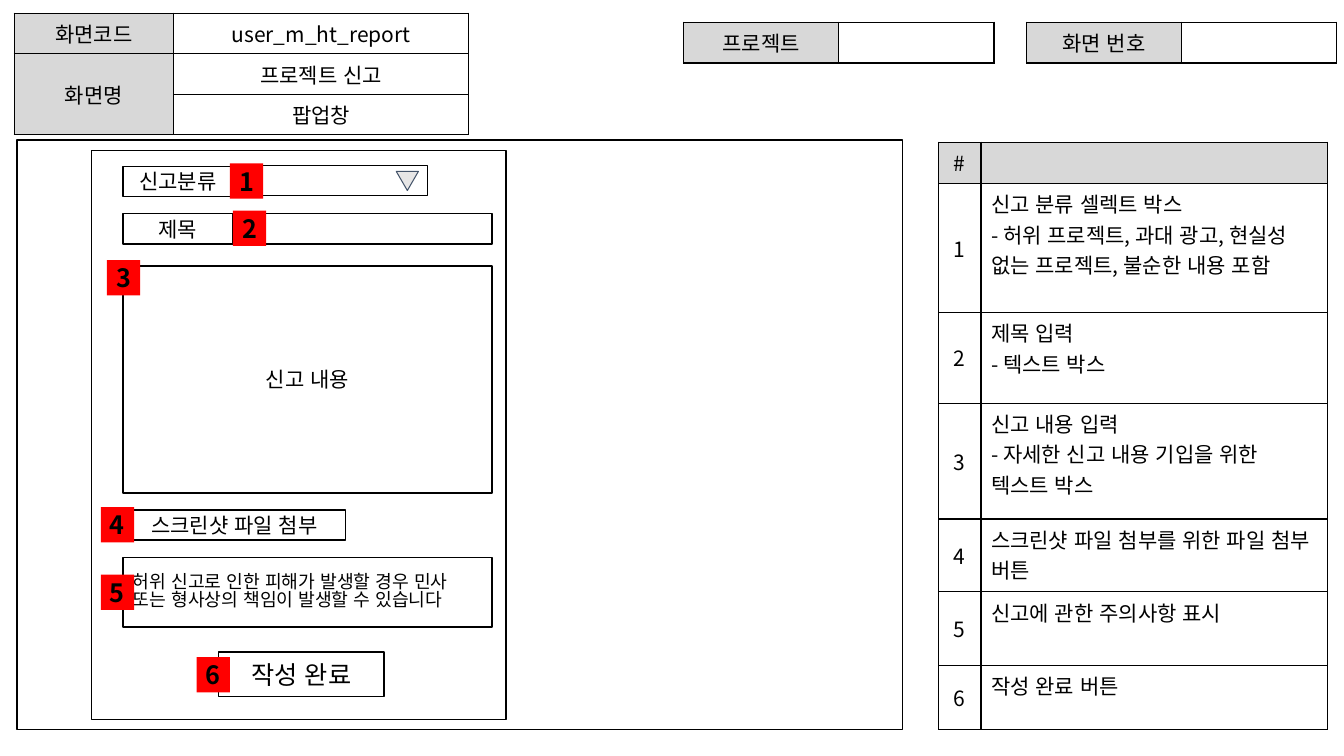
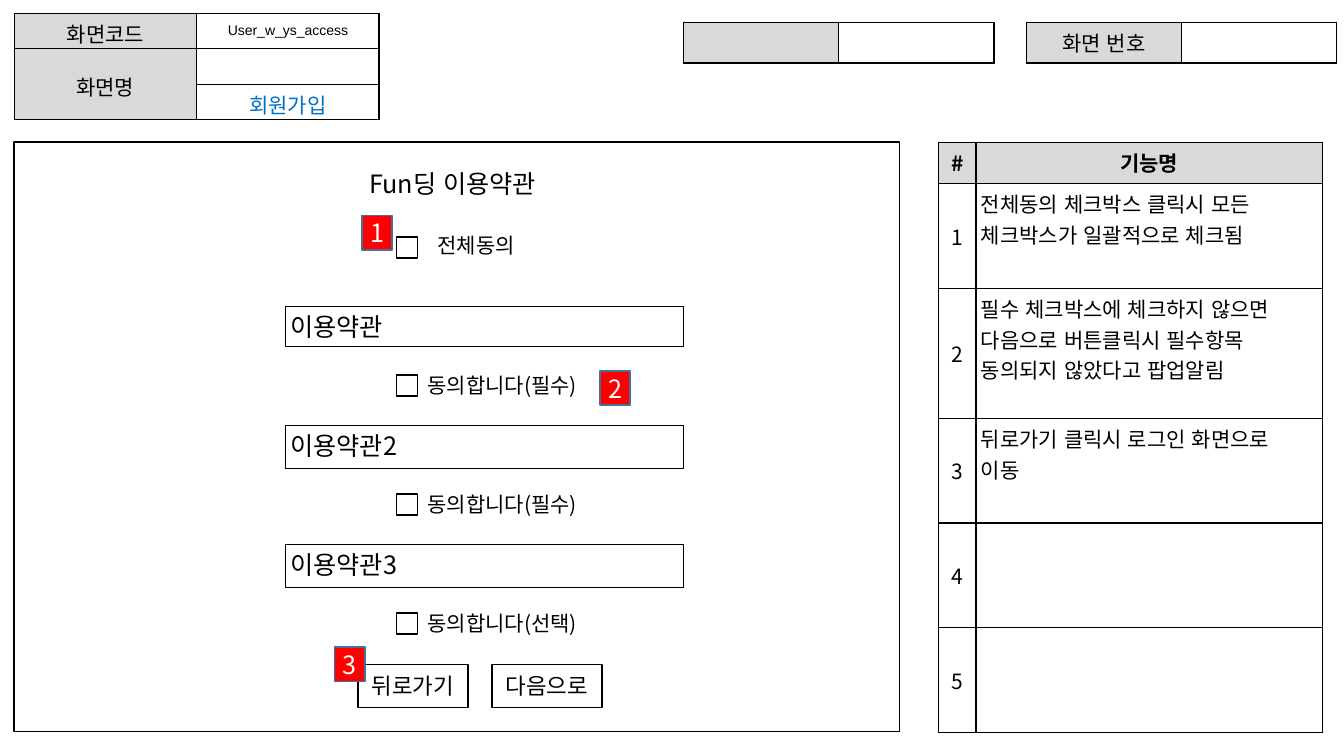
from lxml import etree
from pptx import Presentation
from pptx.dml.color import RGBColor
from pptx.enum.lang import MSO_LANGUAGE_ID
from pptx.enum.shapes import MSO_SHAPE
from pptx.enum.text import MSO_ANCHOR, PP_ALIGN
from pptx.oxml.ns import qn
from pptx.util import Inches, Pt

RECT, TRIANGLE = MSO_SHAPE.RECTANGLE, MSO_SHAPE.ISOSCELES_TRIANGLE
LEFT, CENTER = PP_ALIGN.LEFT, PP_ALIGN.CENTER
TOP, MIDDLE = MSO_ANCHOR.TOP, MSO_ANCHOR.MIDDLE
KOREAN = MSO_LANGUAGE_ID.KOREAN

FONT = "Noto Sans CJK KR"
BLACK, WHITE, RED, BLUE = "000000", "FFFFFF", "FF0000", "0070C0"
TAG_LINE = "42719B"
CODE_ROWS = [("화면코드", 0), ("화면명", 1)]


def rgb(code):
    return RGBColor.from_string(code)


def paint(fill, code):
    if code:
        fill.solid()
        fill.fore_color.rgb = rgb(code)
    else:
        fill.background()


def put(frame, text, size=15, font=FONT, color=BLACK, bold=False,
        align=CENTER, space=None):
    """Write one paragraph for each line of text."""
    frame.word_wrap = True
    for i, line in enumerate(text.split("\n")):
        para = frame.add_paragraph() if i else frame.paragraphs[0]
        para.alignment = align
        if space:
            para.line_spacing = space
        run = para.add_run()
        run.text = line
        run.font.size = Pt(size)
        run.font.name = font
        run.font.bold = bold
        run.font.color.rgb = rgb(color)
        run.font.language_id = KOREAN
        east = etree.SubElement(run.font._element, qn("a:ea"))
        east.set("typeface", font)


def inset(owner, pads):
    """Set the left, top, right and bottom margins in inches."""
    for side, pad in zip(("left", "top", "right", "bottom"), pads):
        setattr(owner, "margin_" + side, Inches(pad))


def edge(cell):
    """Draw a thin black border on all four sides of a cell."""
    props = cell._tc.get_or_add_tcPr()
    for i, side in enumerate("LRTB"):
        line = etree.Element(qn("a:ln" + side), w=str(Pt(1)))
        fill = etree.SubElement(line, qn("a:solidFill"))
        etree.SubElement(fill, qn("a:srgbClr"), val=BLACK)
        props.insert(i, line)


class Deck:
    """Holds the style and the current slide."""

    def __init__(self):
        self.prs = Presentation()
        self.prs.slide_width = Inches(13.33)
        self.prs.slide_height = Inches(7.5)

    def page(self, shade, pads):
        """Start a slide with its header grey and its text margins."""
        self.shapes = self.prs.slides.add_slide(
            self.prs.slide_layouts[6]).shapes
        self.shade, self.pads = shade, pads

    def box(self, x, y, w, h, text="", fill=WHITE, line=BLACK, weight=1,
            kind=RECT, anchor=MIDDLE, pads=None, **style):
        shape = self.shapes.add_shape(
            kind, Inches(x), Inches(y), Inches(w), Inches(h))
        shape.shadow.inherit = False
        paint(shape.fill, fill)
        paint(shape.line.fill, line)
        if line:
            shape.line.width = Pt(weight)
        if text:
            frame = shape.text_frame
            frame.vertical_anchor = anchor
            inset(frame, pads or self.pads)
            put(frame, text, **style)
        return shape

    def label(self, x, y, w, h, text, **style):
        frame = self.shapes.add_textbox(
            Inches(x), Inches(y), Inches(w), Inches(h)).text_frame
        inset(frame, self.pads)
        put(frame, text, align=LEFT, **style)

    def tag(self, x, y, num, w=0.33, h=0.35, line=None, **style):
        """Place a red number marker."""
        self.box(x, y, w, h, str(num), RED, line, pads=(0, 0, 0, 0),
                 size=18, **style)

    def cell(self, cell, text, fill, anchor=MIDDLE, pads=None, **style):
        paint(cell.fill, fill)
        edge(cell)
        cell.vertical_anchor = anchor
        inset(cell, pads or self.pads)
        if text:
            put(cell.text_frame, text, **style)

    def grid(self, x, y, cols, rows):
        table = self.shapes.add_table(
            len(rows), len(cols), Inches(x), Inches(y),
            Inches(sum(cols)), Inches(sum(rows))).table
        table.first_row = table.horz_banding = False
        for col, width in zip(table.columns, cols):
            col.width = Inches(width)
        for row, height in zip(table.rows, rows):
            row.height = Inches(height)
        return table

    def code(self, cols, high, values, pads=None):
        """Draw the screen code table; values are (text, format) pairs."""
        table = self.grid(0.14, 0.13, cols, [high] * 3)
        for i, (text, style) in enumerate(values):
            name = ("화면코드", "화면명", "")[i]
            self.cell(table.cell(i, 0), name, self.shade, pads=pads)
            self.cell(table.cell(i, 1), text, WHITE,
                      **{"pads": pads, **style})
        table.cell(1, 0).merge(table.cell(2, 0))

    def field(self, x, text):
        """Draw a name cell beside an empty value cell."""
        table = self.grid(x, 0.22, [1.54] * 2, [0.4])
        self.cell(table.cell(0, 0), text, self.shade)
        self.cell(table.cell(0, 1), "", WHITE)

    def notes(self, cols, head, items, bold=False):
        """Draw the numbered list; items are (height, text) pairs."""
        highs = [0.41] + [high for high, _ in items]
        table = self.grid(9.31, 1.41, cols, highs)
        for j, text in enumerate(("#", head)):
            self.cell(table.cell(0, j), text, self.shade, bold=bold)
        for i, (_, text) in enumerate(items, 1):
            self.cell(table.cell(i, 0), str(i), WHITE)
            self.cell(table.cell(i, 1), text, WHITE, TOP, align=LEFT)


def report(deck):
    deck.page("D8D8D8", (0.1, 0.05, 0.1, 0.05))
    deck.code([1.58, 2.93], 0.4, [
        ("user_m_ht_report", {}), ("프로젝트 신고", {}), ("팝업창", {})])
    deck.field(10.18, "화면 번호")
    deck.field(6.78, "프로젝트")
    deck.box(0.17, 1.39, 8.78, 5.85, fill=None)
    deck.notes([0.42, 3.44], "", [
        (1.28, "신고 분류 셀렉트 박스\n"
               "- 허위 프로젝트, 과대 광고, 현실성 없는 프로젝트, 불순한 내용 포함"),
        (0.9, "제목 입력\n- 텍스트 박스"),
        (1.15, "신고 내용 입력\n- 자세한 신고 내용 기입을 위한 텍스트 박스"),
        (0.72, "스크린샷 파일 첨부를 위한 파일 첨부 버튼"),
        (0.73, "신고에 관한 주의사항 표시"),
        (0.64, "작성 완료 버튼")])

    deck.box(0.91, 1.49, 4.11, 5.65, fill=None)
    deck.box(2.17, 6.47, 1.64, 0.44, "작성 완료", size=18)
    deck.box(2.44, 2.12, 2.44, 0.3)
    deck.box(2.44, 1.64, 1.8, 0.3)
    arrow = deck.box(3.93, 1.7, 0.22, 0.19, fill="E7E6E6", line="44546A",
                     weight=0.75, kind=TRIANGLE)
    arrow.rotation = 180
    for y, w, h, text in [(2.12, 1.09, 0.3, "제목"),
                          (2.64, 3.66, 2.25, "신고 내용"),
                          (5.06, 2.21, 0.3, "스크린샷 파일 첨부"),
                          (1.65, 1.09, 0.3, "신고분류")]:
        deck.box(1.22, y, w, h, text)
    deck.box(1.22, 5.53, 3.66, 0.69,
             "허위 신고로 인한 피해가 발생할 경우 민사 "
             "또는 형사상의 책임이 발생할 수 있습니다",
             size=13, align=LEFT, space=0.84)
    spots = [(2.28, 1.62), (2.31, 2.09), (1.06, 2.58),
             (1, 5.03), (1, 5.7), (1.95, 6.52)]
    for num, (x, y) in enumerate(spots, 1):
        deck.tag(x, y, num, bold=True)


def terms(deck):
    deck.page("D9D9D9", (0.05,) * 4)
    deck.field(10.18, "화면 번호")
    deck.field(6.78, "")
    deck.notes([0.37, 3.44], "기능명", [
        (1.04, "전체동의 체크박스 클릭시 모든\n체크박스가 일괄적으로 체크됨"),
        (1.29, "필수 체크박스에 체크하지 않으면\n다음으로 버튼클릭시 필수항목\n"
               "동의되지 않았다고 팝업알림"),
        (1.04, "뒤로가기 클릭시 로그인 화면으로\n이동"),
        (1.04, ""), (1.04, "")], bold=True)
    deck.code([1.81] * 2, 0.35, [
        ("User_w_ys_access",
         {"size": 10, "font": "Arial", "pads": (0.01,) * 4}),
        ("", {}), ("회원가입", {"color": BLUE})], (0.05, 0.05, 0.05, 0))

    deck.box(0.14, 1.41, 8.78, 5.85)
    deck.label(3.61, 1.62, 1.85, 0.42, "Fun딩 이용약관", size=18)
    deck.label(4.29, 2.26, 1.43, 0.36, "전체동의")
    deck.box(3.93, 2.35, 0.21, 0.21)
    parts = [("이용약관", 0.4, "필수"), ("이용약관2", 0.43, "필수"),
             ("이용약관3", 0.43, "선택")]
    for i, (name, high, need) in enumerate(parts):
        y = 3.04 + 1.18 * i
        deck.box(2.83, y, 3.95, high, name, None, weight=0.75, anchor=TOP,
                 size=18, align=LEFT)
        deck.label(4.19, y + 0.61, 2.12, 0.36, f"동의합니다({need})")
        deck.box(3.93, y + 0.68, 0.21, 0.21)
    for x, text in [(3.55, "뒤로가기"), (4.88, "다음으로")]:
        deck.box(x, 6.59, 1.09, 0.43, text, size=16)
    spots = [(3.59, 2.14), (5.95, 3.68), (3.32, 6.42)]
    for num, (x, y) in enumerate(spots, 1):
        deck.tag(x, y, num, 0.3, 0.34, TAG_LINE, color=WHITE)


def main():
    deck = Deck()
    report(deck)
    terms(deck)
    deck.prs.save("out.pptx")


if __name__ == "__main__":
    main()
